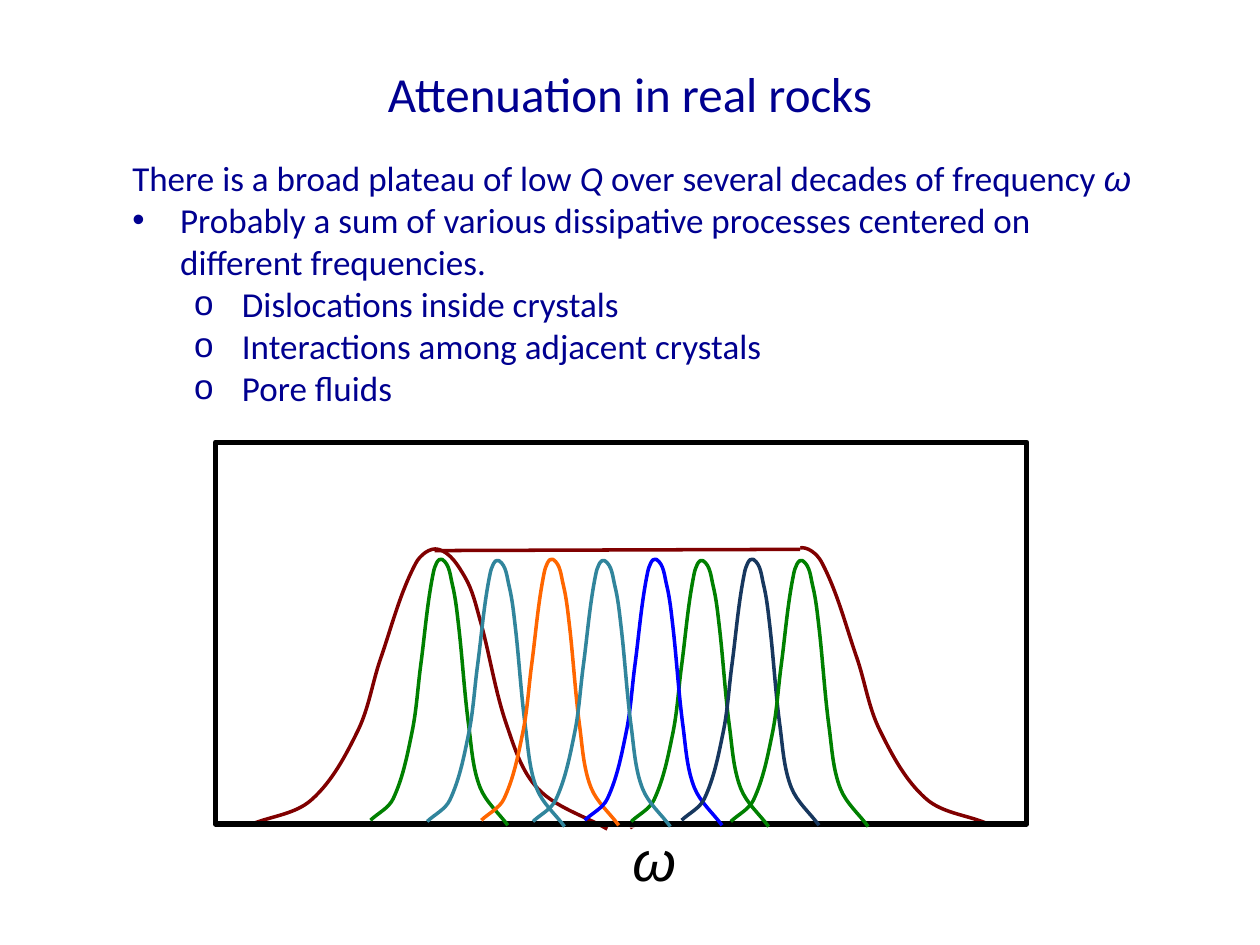
import math

import pptx
import pptx.dml.color
import pptx.enum.shapes
import pptx.enum.text
import pptx.oxml.ns
import pptx.util
from lxml import etree

Inches = pptx.util.Inches
Pt = pptx.util.Pt
qn = pptx.oxml.ns.qn

COLORS = {
    "navy": "000090", "maroon": "800000", "green": "008000", "teal": "31859C",
    "orange": "FF6600", "blue": "0000FF", "slate": "17375E",
    "black": "000000", "white": "FFFFFF",
}

TITLE = "Attenuation in real rocks"

# Each paragraph: level, bullet, left margin, runs of (text, font, italic)
BODY = [
    (0, None, 0, [
        ("There is a broad plateau of low ", "Calibri", False),
        ("Q", "Calibri", True),
        (" over several decades of frequency ", "Calibri", False),
        ("ω", "Arial", True),
    ]),
    (0, "•", 0.38, [("Probably a sum of various dissipative processes centered on "
                     "different frequencies.", "Calibri", False)]),
    (1, "o", 0.87, [("Dislocations inside crystals", "Calibri", False)]),
    (1, "o", 0.87, [("Interactions among adjacent crystals", "Calibri", False)]),
    (1, "o", 0.87, [("Pore fluids", "Calibri", False)]),
]

# Points in inches that each smooth curve passes through
BROAD_CURVE = [
    (2, 6.54), (2.47, 6.35), (2.84, 5.8), (3.02, 5.23), (3.3, 4.47), (3.48, 4.36),
    (3.69, 4.58), (3.81, 4.92), (4.02, 5.75), (4.27, 6.26), (4.82, 6.58),
]
NARROW_CURVE = [
    (2.94, 6.51), (3.12, 6.34), (3.27, 5.81), (3.34, 5.27), (3.44, 4.54), (3.51, 4.44),
    (3.59, 4.64), (3.64, 4.97), (3.72, 5.76), (3.81, 6.25), (4.03, 6.55),
]

# Left end, downward shift and colour of each narrow peak, back to front
PEAKS = [
    (2.94, 0, "green"), (3.39, 0.01, "teal"), (3.82, 0, "orange"),
    (5.01, 0.01, "green"), (4.64, 0, "blue"), (5.41, 0, "slate"),
    (5.8, 0.01, "green"), (4.23, 0.01, "teal"),
]
MIRROR_SUM = 9.82  # x of a point plus x of its mirror image


def rgb(name):
    return pptx.dml.color.RGBColor.from_string(COLORS[name])


def add_run(paragraph, text, font, size, color, italic=False):
    run = paragraph.add_run()
    run.text = text
    run.font.name = font
    run.font.size = Pt(size)
    run.font.italic = italic
    run.font.color.rgb = rgb(color)


def set_bullet(paragraph, bullet, margin):
    properties = paragraph._p.get_or_add_pPr()
    properties.set("marL", str(Inches(margin)))
    properties.set("indent", str(Inches(-0.38 if bullet else 0)))
    if bullet:
        etree.SubElement(properties, qn("a:buFont")).set("typeface", "Arial")
        etree.SubElement(properties, qn("a:buChar")).set("char", bullet)
    else:
        etree.SubElement(properties, qn("a:buNone"))


def curve_sections(points):
    """Return two control points and an end for each section of a smooth curve."""
    directions = []
    for index in range(len(points)):
        before, after = points[max(index - 1, 0)], points[min(index + 1, len(points) - 1)]
        length = math.dist(before, after)
        directions.append(((after[0] - before[0]) / length, (after[1] - before[1]) / length))
    sections = []
    for index in range(len(points) - 1):
        start, end = points[index], points[index + 1]
        reach = math.dist(start, end) / 3
        leave, arrive = directions[index], directions[index + 1]
        sections.append((
            (start[0] + reach * leave[0], start[1] + reach * leave[1]),
            (end[0] - reach * arrive[0], end[1] - reach * arrive[1]),
            end,
        ))
    return sections


def add_curve(slide, points, color):
    vertices = [(Inches(x), Inches(y)) for x, y in points]
    builder = slide.shapes.build_freeform(*vertices[0])
    builder.add_line_segments(vertices[1:], close=False)
    shape = builder.convert_to_shape()
    lines = list(shape._element.iter(qn("a:lnTo")))
    for line, section in zip(lines, curve_sections(points)):
        curve = etree.Element(qn("a:cubicBezTo"))
        for x, y in section:
            point = etree.SubElement(curve, qn("a:pt"))
            point.set("x", str(Inches(x) - shape.left))
            point.set("y", str(Inches(y) - shape.top))
        line.getparent().replace(line, curve)
    shape.shadow.inherit = False
    shape.fill.background()
    shape.line.color.rgb = rgb(color)
    shape.line.width = Pt(2)


def add_rectangle(slide, left, top, width, height):
    shape = slide.shapes.add_shape(
        pptx.enum.shapes.MSO_SHAPE.RECTANGLE,
        Inches(left), Inches(top), Inches(width), Inches(height))
    shape.shadow.inherit = False
    return shape


def place(shape, left, top, width, height):
    shape.left, shape.top = Inches(left), Inches(top)
    shape.width, shape.height = Inches(width), Inches(height)


def add_text(slide):
    title = slide.shapes.title
    place(title, 0.5, 0.3, 9, 0.88)
    title.text_frame.vertical_anchor = pptx.enum.text.MSO_ANCHOR.MIDDLE
    heading = title.text_frame.paragraphs[0]
    heading.alignment = pptx.enum.text.PP_ALIGN.CENTER
    add_run(heading, TITLE, "Calibri", 28, "navy")

    body = slide.placeholders[1]
    place(body, 0.95, 1.19, 8.35, 2.12)
    frame = body.text_frame
    frame.auto_size = pptx.enum.text.MSO_AUTO_SIZE.NONE
    for index, (level, bullet, margin, runs) in enumerate(BODY):
        paragraph = frame.add_paragraph() if index else frame.paragraphs[0]
        paragraph.level = level
        set_bullet(paragraph, bullet, margin)
        paragraph.space_before = Pt(0)
        for text, font, italic in runs:
            add_run(paragraph, text, font, 20, "navy", italic)


def add_plot(slide):
    add_curve(slide, BROAD_CURVE, "maroon")
    add_curve(slide, [(MIRROR_SUM - x, y - 0.01) for x, y in BROAD_CURVE], "maroon")

    cover = add_rectangle(slide, 4.94, 4.3, 1.41, 2.27)
    cover.fill.solid()
    cover.fill.fore_color.rgb = rgb("white")
    cover.line.fill.background()

    frame = add_rectangle(slide, 1.71, 3.51, 6.44, 3.03)
    frame.fill.background()
    frame.line.color.rgb = rgb("black")
    frame.line.width = Pt(3)

    label = slide.shapes.add_textbox(Inches(4.92), Inches(6.5), Inches(0.47), Inches(0.47))
    label.text_frame.word_wrap = False
    add_run(label.text_frame.paragraphs[0], "ω", "Arial", 32, "black", True)

    start = NARROW_CURVE[0][0]
    for left, drop, color in PEAKS:
        add_curve(slide, [(x - start + left, y + drop) for x, y in NARROW_CURVE], color)

    plateau = slide.shapes.add_connector(
        pptx.enum.shapes.MSO_CONNECTOR.STRAIGHT,
        Inches(6.35), Inches(4.36), Inches(3.45), Inches(4.37))
    plateau.line.color.rgb = rgb("maroon")
    plateau.line.width = Pt(2)
    etree.SubElement(plateau._element.spPr, qn("a:effectLst"))


def main():
    presentation = pptx.Presentation()
    presentation.slide_width, presentation.slide_height = Inches(10), Inches(7.5)
    slide = presentation.slides.add_slide(presentation.slide_layouts[1])
    add_text(slide)
    add_plot(slide)
    presentation.save("out.pptx")


if __name__ == "__main__":
    main()
